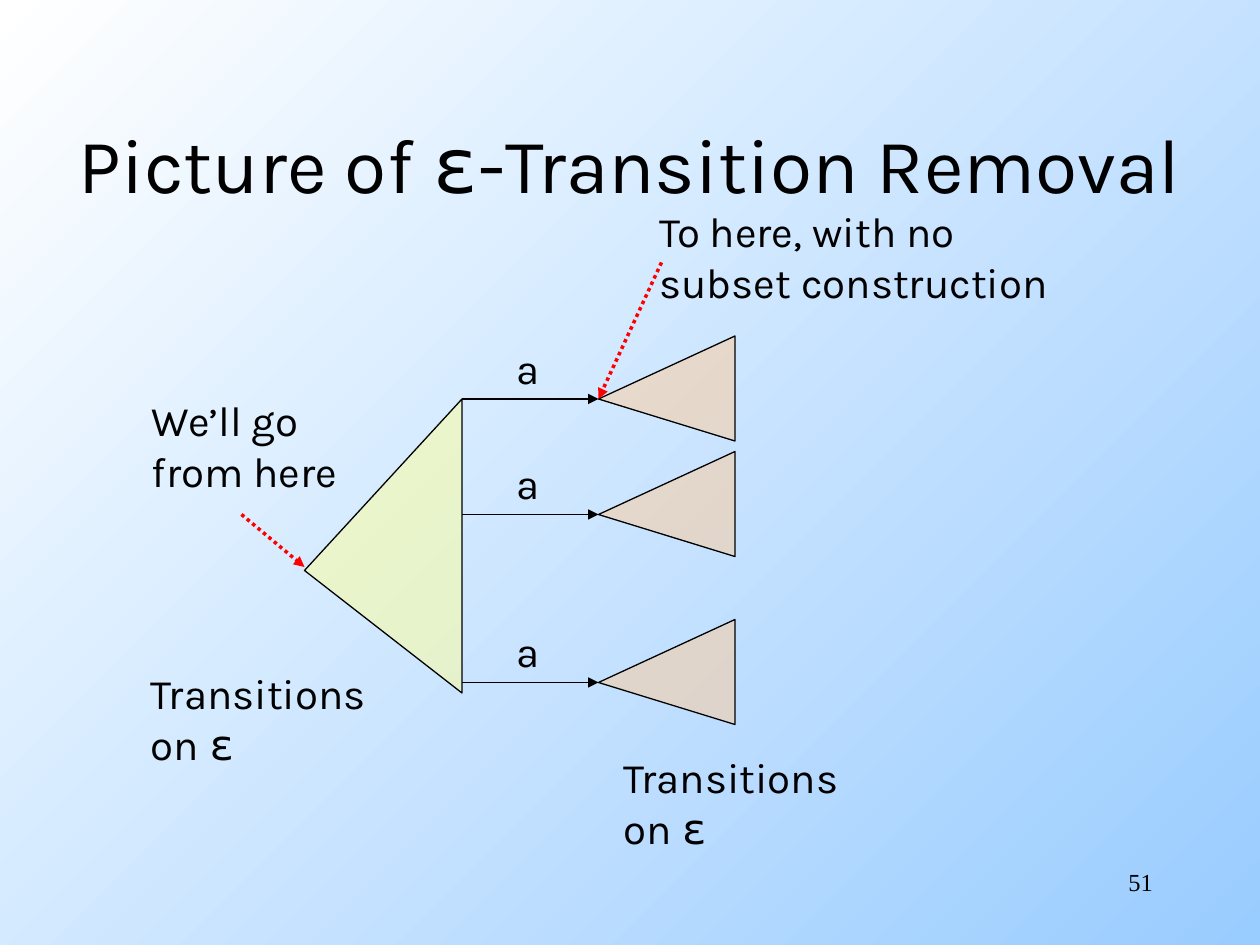
from lxml.etree import SubElement
from pptx import Presentation
from pptx.dml.color import RGBColor
from pptx.enum.dml import MSO_LINE
from pptx.enum.shapes import MSO_CONNECTOR
from pptx.enum.text import MSO_ANCHOR, MSO_AUTO_SIZE, PP_ALIGN
from pptx.oxml.ns import qn
from pptx.util import Pt

BODY, SYMBOL, SERIF = "Karla", "DejaVu Sans Mono", "Times New Roman"
BLACK, RED, YELLOW, ORANGE = "000000", "FF0000", "FFFF99", "FFCC99"

TITLE = "Picture of ε-Transition Removal"
NUMBER = "51"
EPSILON_LABEL = "Transitions\non ε"
# text, left, top, width, height
LABELS = [
    (EPSILON_LABEL, 79.2, 378, 139, 64.8),
    (EPSILON_LABEL, 349.2, 426, 139, 64.8),
    ("We’ll go\nfrom here", 79.7, 222, 127.4, 64.8),
    ("To here, with no\nsubset construction", 369.7, 114, 236.9, 64.8),
]
# Each source triangle edge leads to the tip of a target triangle
SOURCE = [(174, 326), (264, 228), (264, 396)]
EDGE_X, TIP_X, TARGET_RIGHT = 264, 342, 420
TIP_YS = [228, 294, 390]
RISE, DROP = 36, 24
POINTERS = [((138, 294), (174, 324)), ((378, 150), (342, 228))]


def rgb(value):
    return RGBColor.from_string(value)


def add_text(s, text, left, top, width, height, size=24, font=BODY,
             align=PP_ALIGN.LEFT, wrap=False):
    """Add a text box, one paragraph per line, with ε in the symbol font."""
    sp = s.shapes.add_textbox(Pt(left), Pt(top), Pt(width), Pt(height))
    tf = sp.text_frame
    tf.word_wrap = wrap
    tf.auto_size = MSO_AUTO_SIZE.NONE if wrap else MSO_AUTO_SIZE.SHAPE_TO_FIT_TEXT
    for i, line in enumerate(text.split("\n")):
        p = tf.paragraphs[0] if i == 0 else tf.add_paragraph()
        p.alignment = align
        before, epsilon, after = line.partition("ε")
        for part in filter(None, (before, epsilon, after)):
            r = p.add_run()
            r.text = part
            r.font.size = Pt(size)
            r.font.name = SYMBOL if part == "ε" else font
            r.font.color.rgb = rgb(BLACK)
    return tf


def add_triangle(s, points, color):
    """Add an outlined triangle with a half-transparent fill."""
    builder = s.shapes.build_freeform(*points[0], scale=Pt(1))
    builder.add_line_segments(points[1:], close=True)
    sp = builder.convert_to_shape()
    sp.shadow.inherit = False
    sp.fill.solid()
    sp.fill.fore_color.rgb = rgb(color)
    clr = sp.fill._xPr.find(qn("a:solidFill"))[0]
    SubElement(clr, qn("a:alpha"), val="50000")
    sp.line.color.rgb = rgb(BLACK)
    sp.line.width = Pt(0.75)


def add_arrow(s, start, end, color=BLACK, width=0.75, dash=None):
    sp = s.shapes.add_connector(MSO_CONNECTOR.STRAIGHT,
                                *(Pt(v) for v in (*start, *end)))
    sp.line.color.rgb = rgb(color)
    sp.line.width = Pt(width)
    if dash:
        sp.line.dash_style = dash
    SubElement(sp.line._get_or_add_ln(), qn("a:tailEnd"), type="triangle")
    SubElement(sp._element.spPr, qn("a:effectLst"))


prs = Presentation()
prs.slide_width, prs.slide_height = Pt(720), Pt(540)
s = prs.slides.add_slide(prs.slide_layouts[6])

fill = s.background.fill
fill.gradient()
fill.gradient_angle = 315
for stop, position, color in zip(fill.gradient_stops, (0, 1), ("FFFFFF", "99CCFF")):
    stop.position = position
    stop.color.rgb = rgb(color)

add_text(s, NUMBER, 516, 492, 150, 36, 14, SERIF, PP_ALIGN.RIGHT, wrap=True)
title = add_text(s, TITLE, 0, 48, 720, 90, 44, align=PP_ALIGN.CENTER, wrap=True)
title.vertical_anchor = MSO_ANCHOR.MIDDLE

add_triangle(s, SOURCE, YELLOW)
for y in TIP_YS:
    add_arrow(s, (EDGE_X, y), (TIP_X, y))
    add_text(s, "a", 288, y - RISE, 27.4, 36)
    add_triangle(s, [(TIP_X, y), (TARGET_RIGHT, y - RISE),
                     (TARGET_RIGHT, y + DROP)], ORANGE)

for label in LABELS:
    add_text(s, *label)
for start, end in POINTERS:
    add_arrow(s, start, end, RED, 2, MSO_LINE.ROUND_DOT)

prs.save("out.pptx")
